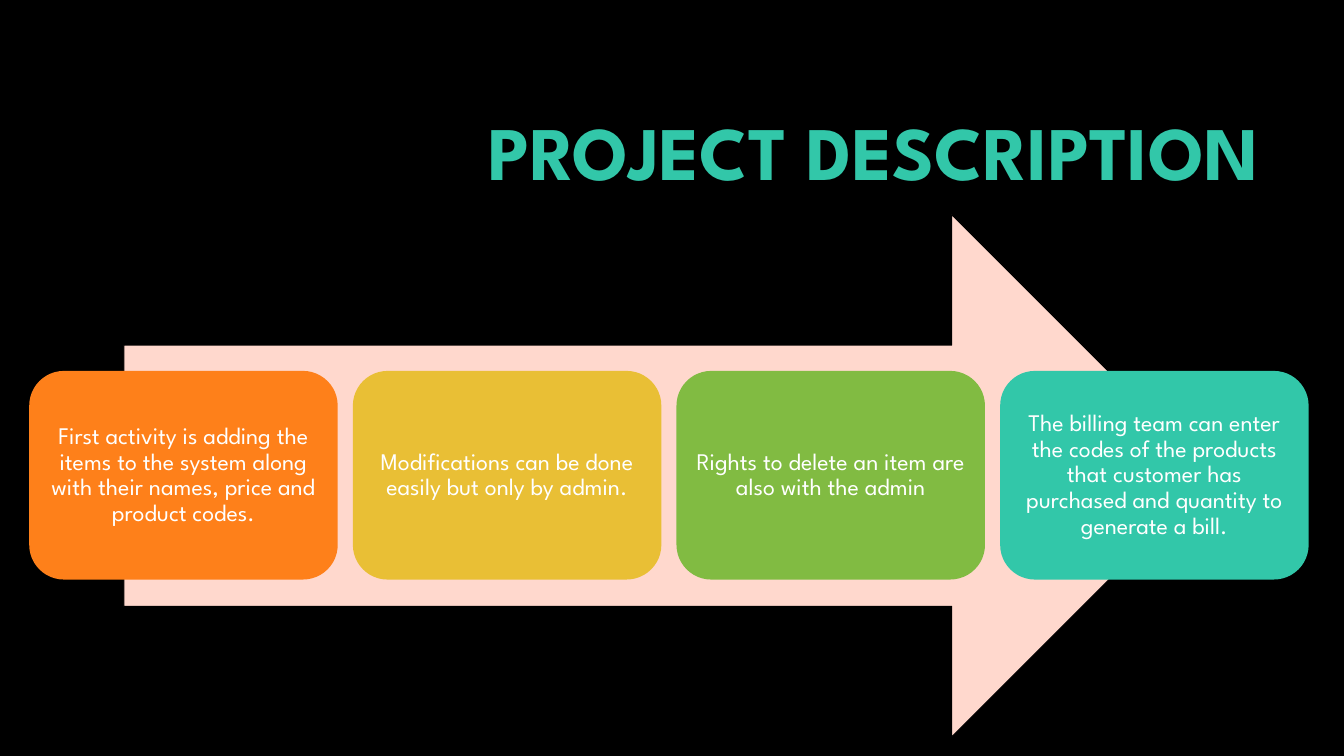
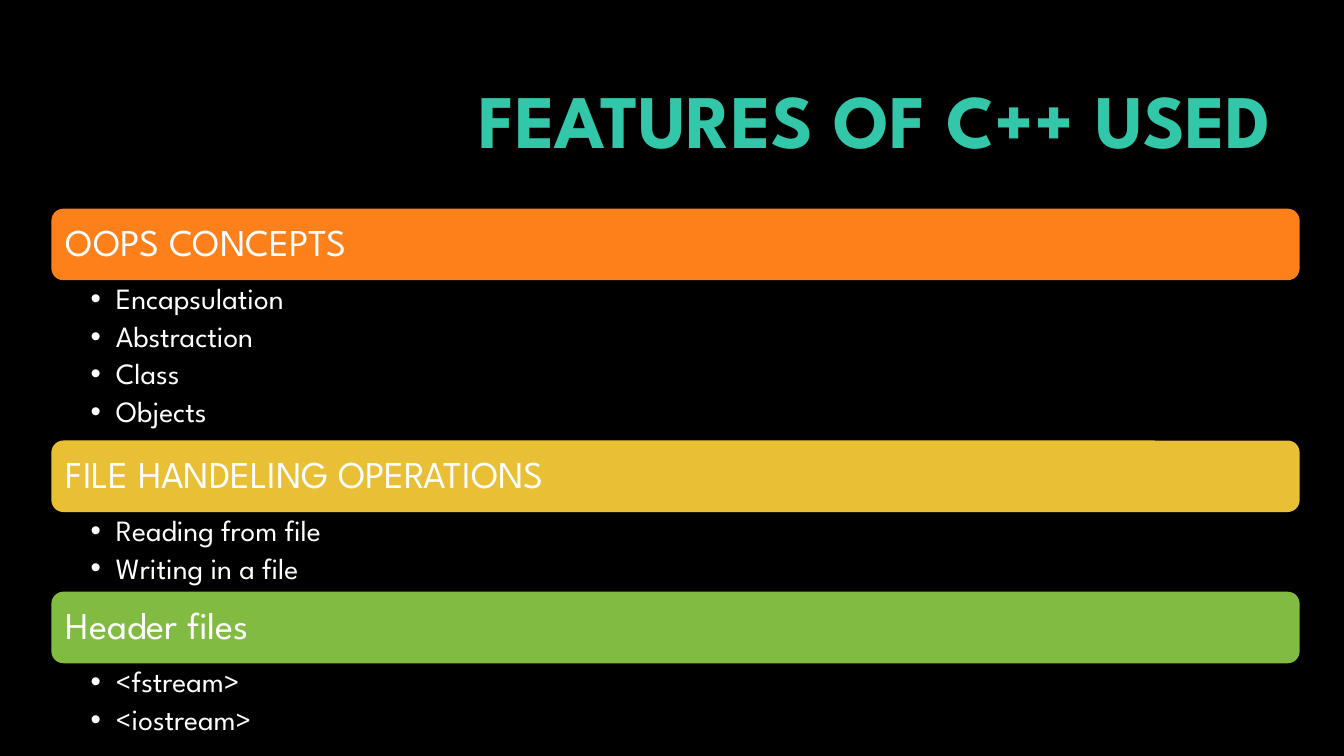
from lxml import etree
from pptx import Presentation
from pptx.dml.color import RGBColor
from pptx.enum.shapes import MSO_SHAPE
from pptx.enum.text import MSO_ANCHOR, MSO_AUTO_SIZE, PP_ALIGN
from pptx.oxml.ns import qn
from pptx.util import Inches, Pt

ROUNDED = MSO_SHAPE.ROUNDED_RECTANGLE
ARROW = MSO_SHAPE.RIGHT_ARROW
TOP, MIDDLE = MSO_ANCHOR.TOP, MSO_ANCHOR.MIDDLE
LEFT, CENTER, RIGHT = PP_ALIGN.LEFT, PP_ALIGN.CENTER, PP_ALIGN.RIGHT
NO_AUTOFIT = MSO_AUTO_SIZE.NONE

# Shared look
FONT = "League Spartan"
BLACK, WHITE, PEACH = "000000", "FFFFFF", "FFD8CD"
ORANGE, YELLOW, GREEN, TEAL = "FE801A", "E9BF35", "81BB42", "32C7A9"
ACCENTS = [ORANGE, YELLOW, GREEN, TEAL]


def format_text(shape, size, color, align, anchor, margins, space_share=0, bold=False):
    """Format all text of a shape; margins are left, top, right, bottom in inches."""
    frame = shape.text_frame
    frame.word_wrap = True
    frame.auto_size = NO_AUTOFIT
    frame.vertical_anchor = anchor
    frame.margin_left, frame.margin_top, frame.margin_right, frame.margin_bottom = map(Inches, margins)
    for paragraph in frame.paragraphs:
        paragraph.alignment = align
        paragraph.line_spacing = 0.9
        paragraph.space_before = Pt(0)
        paragraph.space_after = Pt(round(size * space_share, 1))
        for run in paragraph.runs:
            run.font.name = FONT
            run.font.size = Pt(size)
            run.font.bold = bold
            run.font.color.rgb = RGBColor.from_string(color)


def add_filled_shape(slide, kind, box, color):
    """Add a flat shape; box is left, top, width, height in inches."""
    shape = slide.shapes.add_shape(kind, *map(Inches, box))
    shape.shadow.inherit = False
    shape.fill.solid()
    shape.fill.fore_color.rgb = RGBColor.from_string(color)
    shape.line.fill.background()
    return shape


presentation = Presentation()
presentation.slide_width = Inches(13.33)
presentation.slide_height = Inches(7.5)
background = presentation.slide_master.background.fill
background.solid()
background.fore_color.rgb = RGBColor.from_string(BLACK)

# Slides and titles
TITLE_ONLY, COMPARISON = 5, 4
slides = []
for layout, title_text, left, top in [
    (TITLE_ONLY, "PROJECT DESCRIPTION", 3.17, 0.84),
    (COMPARISON, "FEATURES OF C++ USED", 3.29, 0.53),
]:
    slide = presentation.slides.add_slide(presentation.slide_layouts[layout])
    title = slide.shapes.title
    title.left, title.top, title.width, title.height = map(Inches, (left, top, 9.42, 1.41))
    title.text_frame.text = title_text
    format_text(title, 54, TEAL, RIGHT, MIDDLE, (0.1, 0.05, 0.1, 0.05), bold=True)
    slides.append(slide)
description_slide, features_slide = slides

# Project description: arrow behind a row of cards
arrow = add_filled_shape(description_slide, ARROW, (1.23, 2.13, 10.8, 5.18), PEACH)
arrow.line.color.rgb = RGBColor.from_string(BLACK)
arrow.line.width = Pt(0.75)

CARD_LEFT, CARD_TOP, CARD_WIDTH, CARD_HEIGHT, CARD_GAP = 0.29, 3.68, 3.06, 2.07, 0.15
card_texts = [
    "First activity is adding the items to the system along with their names, price and product codes.",
    "Modifications can be done easily but only by admin.",
    "Rights to delete an item are also with the admin",
    "The billing team can enter the codes of the products that customer has purchased "
    "and quantity to generate a bill.",
]
for column, (card_text, color) in enumerate(zip(card_texts, ACCENTS)):
    card_left = CARD_LEFT + column * (CARD_WIDTH + CARD_GAP)
    card = add_filled_shape(description_slide, ROUNDED, (card_left, CARD_TOP, CARD_WIDTH, CARD_HEIGHT), color)
    card.text_frame.text = card_text
    format_text(card, 17, WHITE, CENTER, MIDDLE, [0.07] * 4, space_share=0.35)

# Features: heading bars, each followed by a bulleted list
BAR_LEFT, BAR_WIDTH, BAR_HEIGHT = 0.51, 12.38, 0.71
sections = [
    ("OOPS CONCEPTS", ["Encapsulation", "Abstraction", "Class", "Objects"], 1.59),
    ("FILE HANDELING OPERATIONS", ["Reading from file", "Writing in a file"], 0.79),
    ("Header files", ["<fstream>", "<iostream>"], 0.79),
]
bodies = list(features_slide.placeholders)[1:]
for unused_body in bodies[len(sections):]:
    unused_body.element.getparent().remove(unused_body.element)

top = 2.07
for (heading, items, list_height), color, body in zip(sections, ACCENTS, bodies):
    bar = add_filled_shape(features_slide, ROUNDED, (BAR_LEFT, top, BAR_WIDTH, BAR_HEIGHT), color)
    bar.text_frame.text = heading
    format_text(bar, 27, WHITE, LEFT, MIDDLE, [0.11] * 4, space_share=0.35)
    top += BAR_HEIGHT

    body.left, body.top, body.width, body.height = map(Inches, (BAR_LEFT, top, BAR_WIDTH, list_height))
    body.text_frame.text = "\n".join(items)
    format_text(body, 21, WHITE, LEFT, TOP, (0.39, 0.04, 0.21, 0.04), space_share=0.2)
    for paragraph in body.text_frame.paragraphs:
        properties = paragraph._p.get_or_add_pPr()
        properties.set("marL", str(Inches(0.25)))
        properties.set("indent", str(-Inches(0.25)))
        etree.SubElement(properties, qn("a:buFont")).set("typeface", "Arial")
        etree.SubElement(properties, qn("a:buChar")).set("char", "•")
    top += list_height

presentation.save("out.pptx")
